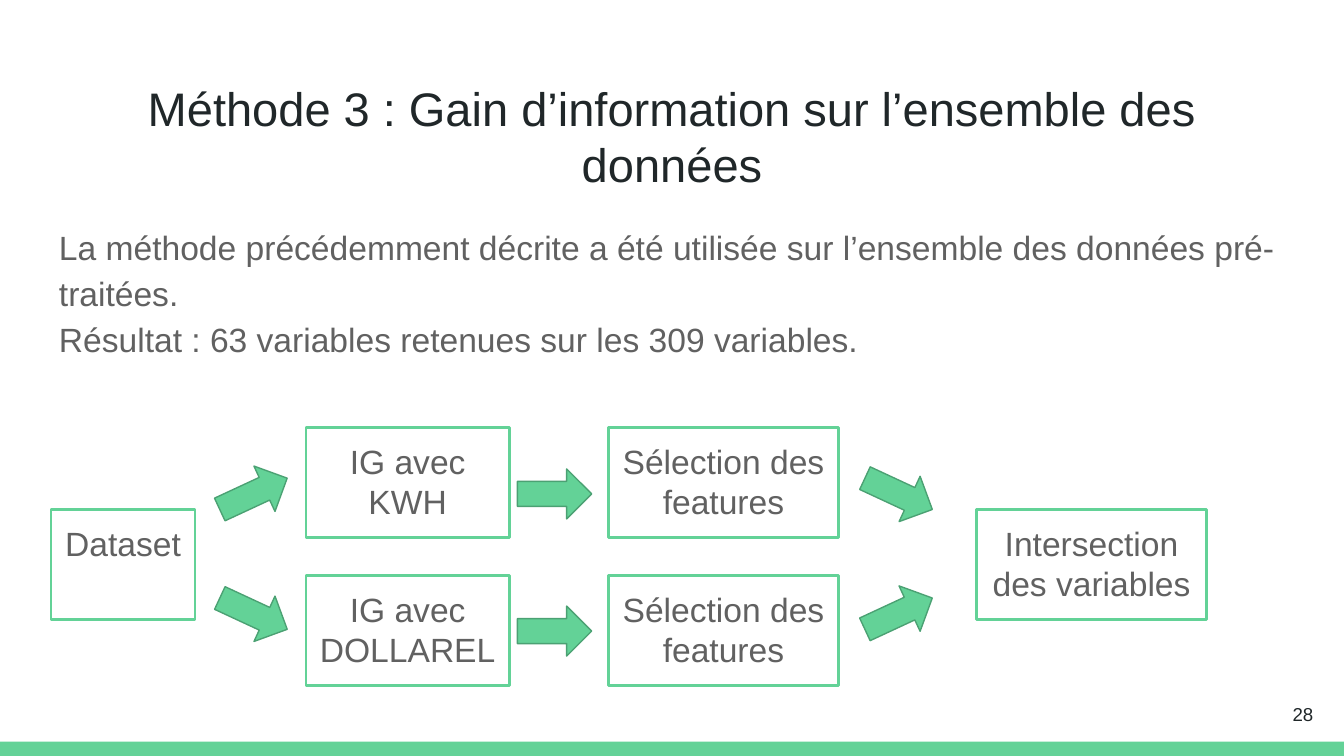
from pptx import Presentation
from pptx.dml.color import RGBColor
from pptx.enum.shapes import MSO_SHAPE as Shape
from pptx.enum.text import MSO_ANCHOR as Anchor, PP_ALIGN as Align
from pptx.util import Pt


def color(code):
    return RGBColor.from_string(code)


class Deck:
    font = "Arial"
    green = "63D297"
    edge = "4BA173"
    dark = "202729"
    gray = "616161"

    def __init__(self, slide):
        self.slide = slide

    def label(self, shape, lines, size, ink, align, anchor=Anchor.TOP, space=None):
        frame = shape.text_frame
        frame.word_wrap = True
        frame.vertical_anchor = anchor
        frame.margin_left = frame.margin_right = Pt(7.2)
        frame.margin_top = frame.margin_bottom = Pt(7.2)
        frame.text = "\n".join(lines)
        for para in frame.paragraphs:
            para.alignment = align
            para.line_spacing = space
            para.font.name = self.font
            para.font.size = Pt(size)
            para.font.color.rgb = color(ink)

    def text(self, x, y, w, h, *lines, **style):
        box = self.slide.shapes.add_textbox(Pt(x), Pt(y), Pt(w), Pt(h))
        self.label(box, lines, **style)

    def shape(self, kind, x, y, w, h, fill=None, line=None, width=0):
        item = self.slide.shapes.add_shape(kind, Pt(x), Pt(y), Pt(w), Pt(h))
        item.shadow.inherit = False
        if fill:
            item.fill.solid()
            item.fill.fore_color.rgb = color(fill)
        else:
            item.fill.background()
        if line:
            item.line.color.rgb = color(line)
            item.line.width = Pt(width)
        else:
            item.line.fill.background()
        return item

    def box(self, x, y, w, words):
        item = self.shape(Shape.RECTANGLE, x, y, w, 59, line=self.green, width=1.5)
        self.label(item, [words], 18, self.gray, Align.CENTER)

    def arrow(self, x, y, turn=0):
        item = self.shape(Shape.RIGHT_ARROW, x, y, 39.8, 26.8,
                          self.green, self.edge, 0.75)
        item.rotation = turn


def main():
    prs = Presentation()
    prs.slide_width, prs.slide_height = Pt(720), Pt(405)
    deck = Deck(prs.slides.add_slide(prs.slide_layouts[6]))

    deck.shape(Shape.RECTANGLE, 0, 397.4, 720, 7.6, deck.green)
    deck.text(24.5, 110.9, 671, 91.4,
              "La méthode précédemment décrite a été utilisée sur "
              "l’ensemble des données pré-traitées.",
              "Résultat : 63 variables retenues sur les 309 variables.",
              size=18, ink=deck.gray, align=Align.LEFT, space=1.15)
    deck.text(667.4, 367.2, 43.2, 31, "28", size=10, ink=deck.dark,
              align=Align.RIGHT, anchor=Anchor.MIDDLE)
    deck.text(24.5, 35.3, 671, 72,
              "Méthode 3 : Gain d’information sur l’ensemble des données",
              size=25.2, ink=deck.dark, align=Align.CENTER)

    deck.box(27.3, 272.9, 77.2, "Dataset")
    for y, name in ((229, "KWH"), (308.2, "DOLLAREL")):
        deck.box(163.9, y, 109, f"IG avec {name}")
        deck.box(326, y, 123.2, "Sélection des features")
    deck.box(523.2, 272.9, 123.2, "Intersection des variables")

    high, low, tilt = 251.2, 315.4, 24.9
    for y in (high, 324.7):
        deck.arrow(277.2, y)
    for x, turn in ((115.9, -tilt), (461.5, tilt)):
        deck.arrow(x, high, turn)
        deck.arrow(x, low, -turn)

    prs.save("out.pptx")


if __name__ == "__main__":
    main()
